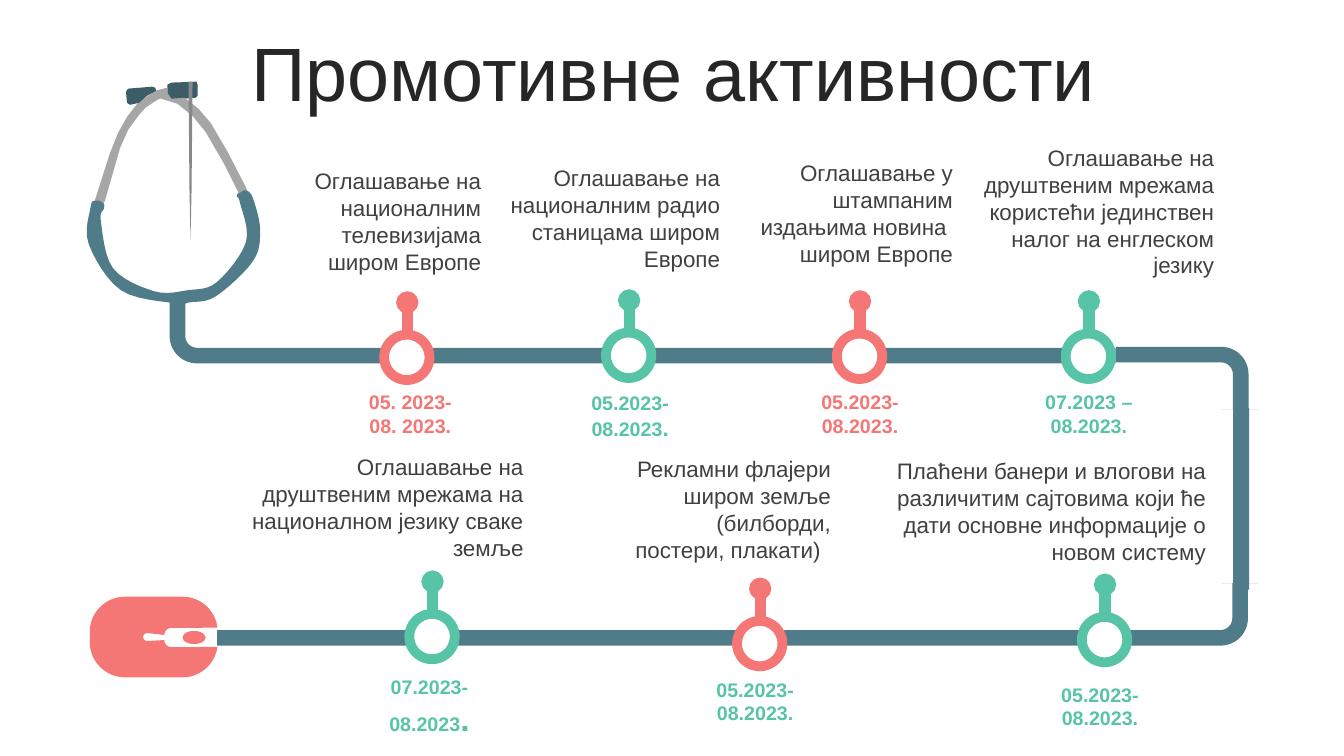
from math import cos, radians, sin

from lxml.etree import SubElement
from pptx import Presentation
from pptx.dml.color import RGBColor
from pptx.enum.shapes import MSO_CONNECTOR, MSO_SHAPE
from pptx.enum.text import MSO_ANCHOR, PP_ALIGN
from pptx.oxml.ns import qn
from pptx.util import Inches, Pt

COLORS = {
    "title": "262626", "text": "404040", "white": "FFFFFF",
    "coral": "F47775", "mint": "57C3A7", "tube": "507C89",
    "earpiece": "3C5D67", "steel": "A6A6A6", "needle": "888888",
}
FONT = "Arial"

ACTIVITIES = [
    (4.04, 3.0, "coral", "05. 2023-08. 2023.", 14, (3.48, 3.82, 1.18, 0.57),
     ["Оглашавање на националним телевизијама широм Европе"], (2.57, 1.61, 2.3, 1.18)),
    (6.24, 2.98, "mint", "05.2023-08.2023.", 16, (5.66, 3.82, 1.18, 0.61),
     ["Оглашавање на националним радио станицама широм Европе"], (4.94, 1.58, 2.3, 1.18)),
    (8.53, 2.99, "coral", "05.2023-08.2023.", 14, (7.94, 3.82, 1.18, 0.57),
     ["Оглашавање у штампаним издањима новина  широм Европе"], (7.25, 1.53, 2.3, 1.18)),
    (10.8, 2.99, "mint", "07.2023 – 08.2023.", 14, (10.21, 3.82, 1.18, 0.57),
     ["Оглашавање на друштвеним мрежама користећи јединствен налог на енглеском језику"],
     (9.62, 1.38, 2.52, 1.45)),
    (4.29, 5.77, "mint", "07.2023-08.2023.", 24, (3.67, 6.64, 1.18, 0.74),
     ["Оглашавање на друштвеним мрежама на националном језику сваке земље"],
     (2.11, 4.45, 3.18, 1.18)),
    (7.54, 5.84, "coral", "05.2023-08.2023.", 14, (6.9, 6.67, 1.18, 0.57),
     ["Рекламни флајери широм земље (билборди,", " постери, плакати)"],
     (6.04, 4.47, 2.3, 1.18)),
    (10.96, 5.8, "mint", "05.2023-08.2023.", 14, (10.32, 6.72, 1.18, 0.57),
     ["Плаћени банери и влогови на различитим сајтовима који ће дати основне информације о новом систему"],
     (8.69, 4.49, 3.37, 1.18)),
]

BENDS = [
    ((7.01, 0.93, 0.62, 10.33), 90, True),
    ((6.01, -1.45, 0.62, 9.49), 270, False),
    ((11.47, 3.04, 0.62, 1.42), 90, False),
]

STETHOSCOPE = [
    ("earpiece", False, [(1.66, 0.84), (1.7, 0.82), (1.95, 0.81), (1.96, 0.84),
                         (1.96, 0.95), (1.94, 0.97), (1.7, 0.99), (1.66, 0.96)]),
    ("tube", True, [(2.42, 1.88), (2.45, 1.89), (2.51, 1.97), (2.58, 2.28), (2.51, 2.59),
                    (2.14, 2.94), (1.88, 3), (1.74, 3.01), (1.2, 2.88), (0.88, 2.42),
                    (0.9, 2.05), (0.94, 1.99), (0.99, 1.98), (1.03, 2.02), (1.03, 2.07),
                    (1, 2.19), (1.12, 2.66), (1.53, 2.89), (1.86, 2.88), (2.15, 2.8),
                    (2.44, 2.4), (2.38, 2.01), (2.35, 1.95), (2.37, 1.91)]),
    ("steel", False, [(2.45, 1.89), (2.41, 1.89), (2.37, 1.92), (2.22, 1.62), (2.04, 1.31),
                      (1.91, 1.15), (1.76, 1.03), (1.6, 0.98), (1.58, 0.98), (1.66, 0.92),
                      (1.7, 0.98), (1.83, 0.97), (1.97, 1.08), (2.09, 1.22), (2.26, 1.51),
                      (2.44, 1.86)]),
    ("steel", False, [(1.66, 0.87), (1.66, 0.93), (1.58, 0.98), (1.53, 1.01), (1.44, 1.07),
                      (1.37, 1.15), (1.27, 1.29), (1.19, 1.47), (1.05, 1.96), (1.03, 2.02),
                      (0.99, 1.99), (0.94, 1.99), (1.09, 1.52), (1.17, 1.32), (1.26, 1.16),
                      (1.36, 1.03), (1.54, 0.9)]),
    ("earpiece", False, [(1.55, 0.9), (1.46, 0.95), (1.38, 1.02), (1.29, 1.04), (1.26, 1.02),
                         (1.25, 0.91), (1.27, 0.88), (1.51, 0.86), (1.54, 0.87)]),
    ("needle", False, [(1.87, 0.81), (1.91, 0.81), (1.9, 1.9), (1.89, 2.38), (1.88, 1.9)]),
]

MOUSE_ARCS = [
    (1.7, 6.3, 0.07, 270, 180), (1.46, 6.32, 0.04, 270, 90), (1.7, 6.35, 0.07, 180, 90),
    (1.81, 6.37, 0.35, 8, 90), (1.24, 6.37, 0.35, 90, 180),
    (1.24, 6.27, 0.35, 180, 270), (1.81, 6.27, 0.35, 270, 353),
]


def arc(cx, cy, radius, start, end, steps=16):
    angles = [radians(start + (end - start) * i / steps) for i in range(steps + 1)]
    return [(cx + radius * cos(a), cy + radius * sin(a)) for a in angles]


def smooth_loop(points, steps=6):
    n = len(points)
    curve = []
    for i in range(n):
        quads = zip(*(points[(i + k) % n] for k in (-1, 0, 1, 2)))
        axes = [[b + t * ((c - a) + t * ((2 * a - 5 * b + 4 * c - d)
                                         + t * (3 * b - a - 3 * c + d))) / 2
                 for t in (j / steps for j in range(steps))]
                for a, b, c, d in quads]
        curve += zip(*axes)
    return curve


class Timeline:
    def __init__(self, slide):
        self.s = slide

    def color(self, name):
        return RGBColor.from_string(COLORS[name])

    def font(self, font, size, color, bold=False):
        font.name, font.size, font.bold = FONT, Pt(size), bold
        font.color.rgb = self.color(color)

    def paint(self, sp, fill, line=None, width=0):
        sp.shadow.inherit = False
        sp.fill.solid()
        sp.fill.fore_color.rgb = self.color(fill)
        if line:
            sp.line.color.rgb = self.color(line)
            sp.line.width = Pt(width)
        else:
            sp.line.fill.background()

    def title(self, text, box):
        sp = self.s.shapes.title
        sp.left, sp.top, sp.width, sp.height = map(Inches, box)
        tf = sp.text_frame
        tf.text = text
        tf.vertical_anchor = MSO_ANCHOR.MIDDLE
        p = tf.paragraphs[0]
        p.alignment, p.line_spacing, p.space_before = PP_ALIGN.CENTER, 0.9, Pt(10)
        self.font(p.font, 54, "title")

    def shape(self, kind, box, fill, line=None, width=0):
        sp = self.s.shapes.add_shape(kind, *map(Inches, box))
        self.paint(sp, fill, line, width)
        return sp

    def outline(self, points, fill):
        points = [(Inches(x), Inches(y)) for x, y in points]
        builder = self.s.shapes.build_freeform(*points[0])
        builder.add_line_segments(points[1:], close=True)
        self.paint(builder.convert_to_shape(), fill)

    def bend(self, box, rotation, flipped):
        sp = self.shape(MSO_SHAPE.BENT_ARROW, box, "tube")
        for i, value in enumerate((0.25, 0.298, 0, 0.438)):
            sp.adjustments[i] = value
        sp.rotation = rotation
        if flipped:
            sp._element.spPr.xfrm.set("flipH", "1")

    def marker(self, x, top, color):
        y = top + 0.54
        cx = self.s.shapes.add_connector(
            MSO_CONNECTOR.STRAIGHT, Inches(x), Inches(y), Inches(x), Inches(top))
        cx.line.color.rgb = self.color(color)
        cx.line.width = Pt(8)
        for end in ("a:headEnd", "a:tailEnd"):
            SubElement(cx.line._get_or_add_ln(), qn(end), type="oval", w="sm", len="sm")
        SubElement(cx._element.spPr, qn("a:effectLst"))
        self.shape(MSO_SHAPE.OVAL, (x - 0.23, y - 0.22, 0.45, 0.45), "white", color, 7)

    def textbox(self, box, anchor):
        tf = self.s.shapes.add_textbox(*map(Inches, box)).text_frame
        tf.word_wrap = True
        tf.vertical_anchor = anchor
        return tf

    def date(self, text, box, color, stop_size):
        p = self.textbox(box, MSO_ANCHOR.MIDDLE).paragraphs[0]
        p.alignment = PP_ALIGN.CENTER
        for part, size in ((text[:-1], 14), (text[-1], stop_size)):
            r = p.add_run()
            r.text = part
            self.font(r.font, size, color, True)

    def description(self, lines, box):
        tf = self.textbox(box, MSO_ANCHOR.TOP)
        tf.text = "\n".join(lines)
        for i, p in enumerate(tf.paragraphs):
            p.alignment = PP_ALIGN.CENTER if i else PP_ALIGN.RIGHT
            self.font(p.font, 16, "text")


def main():
    prs = Presentation()
    prs.slide_width, prs.slide_height = Inches(13.33), Inches(7.5)
    t = Timeline(prs.slides.add_slide(prs.slide_layouts[5]))
    t.title("Промотивне активности", (0.35, 0.37, 12.66, 0.79))
    for color, curved, points in STETHOSCOPE:
        t.outline(smooth_loop(points) if curved else points, color)
    for bend in BENDS:
        t.bend(*bend)
    t.shape(MSO_SHAPE.RECTANGLE, (12.23, 4.05, 0.16, 1.8), "tube")
    for x, top, color, date, stop_size, date_box, lines, text_box in ACTIVITIES:
        t.marker(x, top, color)
        t.date(date, date_box, "mint" if top > 5 else color, stop_size)
        t.description(lines, text_box)
    t.outline([point for a in MOUSE_ARCS for point in arc(*a)], "coral")
    t.shape(MSO_SHAPE.OVAL, (1.81, 6.26, 0.23, 0.13), "coral")
    prs.save("out.pptx")


if __name__ == "__main__":
    main()
